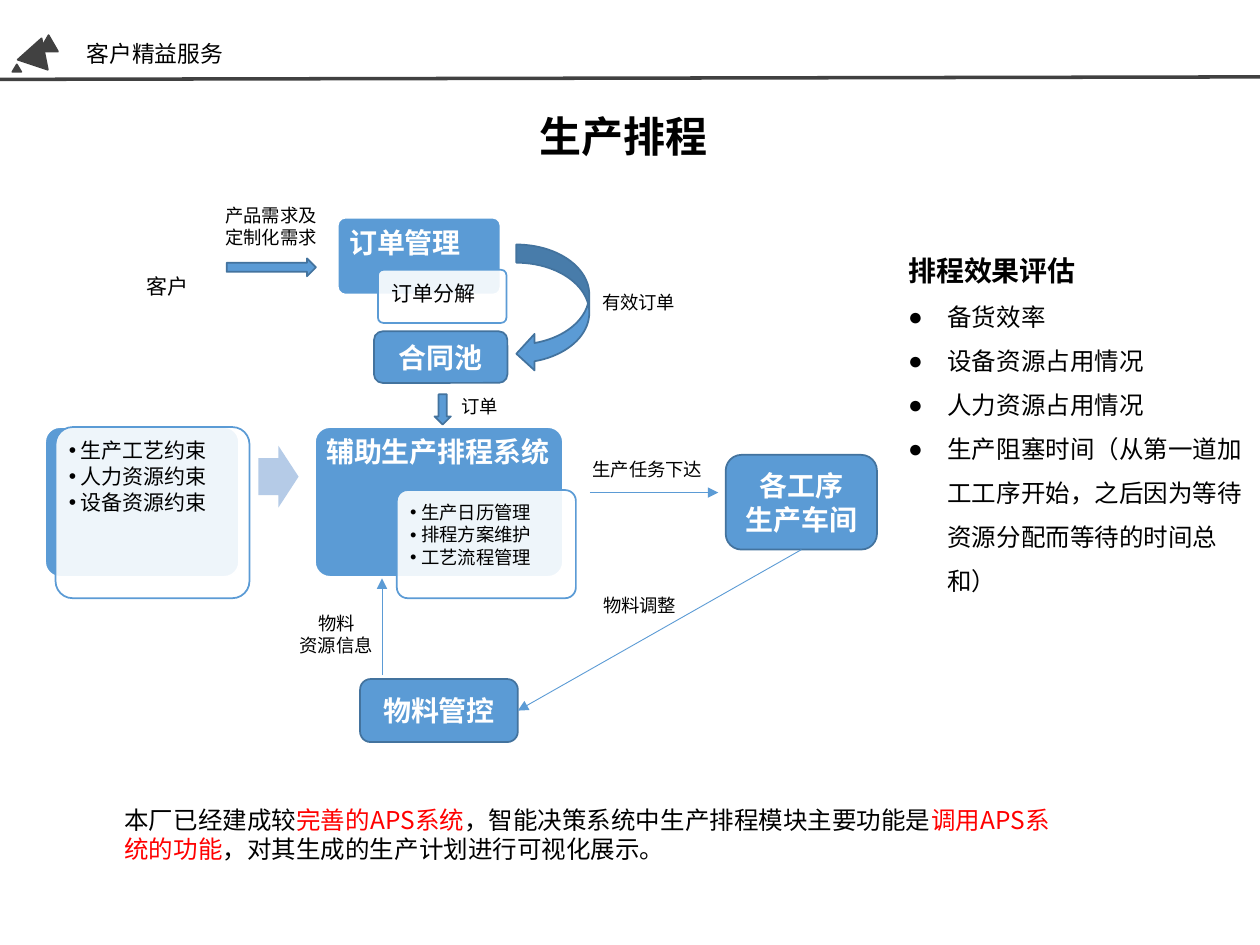
"""Build the production scheduling slide: process flow, measures and summary."""
from dataclasses import dataclass

from lxml import etree
from pptx import Presentation
from pptx.dml.color import RGBColor
from pptx.enum.shapes import MSO_CONNECTOR, MSO_SHAPE
from pptx.enum.text import MSO_ANCHOR, PP_ALIGN
from pptx.oxml.ns import qn
from pptx.util import Cm, Pt

LEFT, MID = PP_ALIGN.LEFT, PP_ALIGN.CENTER
TOP, HALF = MSO_ANCHOR.TOP, MSO_ANCHOR.MIDDLE
ROUND, PEAK = MSO_SHAPE.ROUNDED_RECTANGLE, MSO_SHAPE.ISOSCELES_TRIANGLE
RIGHT, DOWN = MSO_SHAPE.RIGHT_ARROW, MSO_SHAPE.DOWN_ARROW
CURVE, LINE = MSO_SHAPE.CURVED_LEFT_ARROW, MSO_CONNECTOR.STRAIGHT


@dataclass(frozen=True)
class Theme:
    font: str = "Noto Sans CJK SC"
    ink: str = "000000"
    white: str = "FFFFFF"
    blue: str = "5B9BD5"
    edge: str = "43739E"
    pale: str = "B5CBE7"
    gray: str = "414141"
    red: str = "FF0000"
    title: float = 24
    head: float = 16
    body: float = 14
    top: float = 13
    item: float = 12
    label: float = 10.5


T = Theme()
deck = Presentation()
deck.slide_width, deck.slide_height = Cm(25.4), Cm(19.05)
slide = deck.slides.add_slide(deck.slide_layouts[6])
shapes = slide.shapes


def draw(kind, area, fill, edge=None):
    shape = shapes.add_shape(kind, *map(Cm, area))
    shape.shadow.inherit = False
    shape.fill.solid()
    shape.fill.fore_color.rgb = RGBColor.from_string(fill)
    if edge:
        shape.line.color.rgb = RGBColor.from_string(edge)
        shape.line.width = Pt(1)
    else:
        shape.line.fill.background()
    return shape


def write(shape, rows, size, color=T.ink, bold=False, side=LEFT, space=1.0,
          gap=0.0, mark=None, indent=0.0):
    frame = shape.text_frame
    for row in rows:
        para = frame.paragraphs[-1]
        if para.runs:
            para = frame.add_paragraph()
        para.alignment, para.line_spacing = side, space
        para.space_after = Pt(gap * size)
        if mark:
            props = para._p.get_or_add_pPr()
            props.set("marL", str(Cm(indent)))
            props.set("indent", str(-Cm(indent)))
            etree.SubElement(props, qn("a:buFont"), typeface="Arial")
            etree.SubElement(props, qn("a:buChar"), char=mark)
        for text, tint in [(row, color)] if isinstance(row, str) else row:
            run = para.add_run()
            run.text = text
            font = run.font
            font.name, font.size, font.bold = T.font, Pt(size), bold
            font.color.rgb = RGBColor.from_string(tint)
            etree.SubElement(run._r.get_or_add_rPr(), qn("a:ea"), typeface=T.font)


for area, turn in [((0.79, 0.71, 0.38, 0.33), 0), ((0.43, 0.76, 0.64, 0.56), 18.5),
                   ((0.25, 1.3, 0.18, 0.15), 0)]:
    draw(PEAK, area, T.gray, T.gray).rotation = turn

draw(ROUND, (0.91, 8.61, 3.91, 3.02), T.blue, T.white).adjustments[0] = 0.1
block = draw(RIGHT, (5.21, 8.99, 0.81, 1.24), T.pale)
block.adjustments[0] = 0.6

panels = [
    ((1.12, 8.61, 3.91, 3.45), ["生产工艺约束", "人力资源约束", "设备资源约束"], T.item, "•"),
    ((6.35, 8.61, 5, 3.02), ["辅助生产排程系统"], T.head, None),
    ((8, 9.88, 3.61, 2.18), ["生产日历管理", "排程方案维护", "工艺流程管理"], T.label, "•"),
    ((6.81, 4.39, 3.28, 1.55), ["订单管理"], T.head, None),
    ((7.62, 5.44, 2.59, 1.07), ["订单分解"], T.item, None),
]
for area, rows, size, mark in panels:
    main = size == T.head
    panel = draw(ROUND, area, *((T.blue, T.white) if main else (T.white, T.blue)))
    panel.adjustments[0] = 0.1
    frame = panel.text_frame
    frame.word_wrap, frame.vertical_anchor = True, TOP
    inset = Cm((0.23 if main else 0.27) - 0.03 * area[3])
    frame.margin_left = frame.margin_right = inset
    frame.margin_top = frame.margin_bottom = inset
    if not main:
        tint = panel.fill._xPr.find(qn("a:solidFill"))[0]
        etree.SubElement(tint, qn("a:alpha"), val="90000")
    write(panel, rows, size, T.white if main else T.ink, main,
          space=0.9, gap=0.35 if main else 0.15, mark=mark, indent=0.23)

for kind, area in [(RIGHT, (4.57, 5.21, 1.8, 0.36)), (DOWN, (8.76, 7.95, 0.33, 0.61)),
                   (CURVE, (10.41, 4.93, 1.47, 2.57))]:
    draw(kind, area, T.blue, T.edge)

nodes = []
for area, rows in [((14.63, 9.17, 3.05, 1.91), ["各工序", "生产车间"]),
                   ((7.26, 13.69, 3.18, 1.27), ["物料管控"]),
                   ((7.54, 6.68, 2.69, 1.04), ["合同池"])]:
    node = draw(ROUND, area, T.blue, T.edge)
    node.text_frame.word_wrap = True
    node.text_frame.vertical_anchor = HALF
    write(node, rows, T.head, T.white, True, MID)
    nodes.append(node)
shop, stock, pool = nodes

for ends, color, width, ties in [
    ((0, 1.6, 25.4, 1.55), T.gray, 2, None),
    ((7.7, 13.61, 7.7, 11.66), T.blue, 0.5, None),
    ((11.89, 9.93, 14.48, 9.93), T.blue, 0.5, None),
    ((16.16, 11.08, 10.44, 14.33), T.blue, 0.5, (shop, stock)),
]:
    link = shapes.add_connector(LINE, *map(Cm, ends))
    link.line.color.rgb = RGBColor.from_string(color)
    link.line.width = Pt(width)
    if ties:
        link.begin_connect(ties[0], 2)
        link.end_connect(ties[1], 3)
    if color == T.blue:
        etree.SubElement(link.line._get_or_add_ln(), qn("a:tailEnd"), type="triangle")
    etree.SubElement(link._element.spPr, qn("a:effectLst"))

summary = [("本厂已经建成较", T.ink), ("完善的APS系统", T.red),
           ("，智能决策系统中生产排程模块主要功能是", T.ink),
           ("调用APS系统的功能", T.red), ("，对其生成的生产计划进行可视化展示。", T.ink)]
notes = [
    ((1.5, 0.53, 22.15, 1.09), ["客户精益服务"], T.top, LEFT, True),
    ((7.47, 2.11, 10.21, 1.27), ["生产排程"], T.title, MID, True),
    ((2.69, 5.38, 1.37, 0.76), ["客户"], T.item, MID, False),
    ((4.27, 3.99, 2.39, 1.14), ["产品需求及", "定制化需求"], T.label, MID, False),
    ((9.04, 7.85, 1.27, 0.71), ["订单"], T.label, MID, False),
    ((5.56, 12.22, 2.44, 1.14), ["物料", "资源信息"], T.label, MID, True),
    ((11.91, 11.86, 2.06, 0.71), ["物料调整"], T.label, LEFT, True),
    ((11.53, 9.12, 3.05, 0.71), ["生产任务下达"], T.label, MID, True),
    ((11.89, 5.74, 3.51, 0.71), ["有效订单"], T.label, LEFT, True),
    ((2.26, 16.1, 19.61, 1.45), [summary], T.body, LEFT, True),
]
for area, rows, size, side, wrap in notes:
    note = shapes.add_textbox(*map(Cm, area))
    note.text_frame.word_wrap = wrap
    note.text_frame.vertical_anchor = HALF if size == T.top else TOP
    write(note, rows, size, bold=size == T.title, side=side)

goals = shapes.add_textbox(Cm(18.06), Cm(4.65), Cm(7.24), Cm(7.57))
goals.text_frame.word_wrap = True
write(goals, ["排程效果评估"], T.head, bold=True, space=1.5)
write(goals, ["备货效率", "设备资源占用情况", "人力资源占用情况",
              "生产阻塞时间（从第一道加工工序开始，之后因为等待资源分配而等待的时间总和）"],
      T.body, space=1.5, mark="●", indent=0.79)

deck.save("out.pptx")
